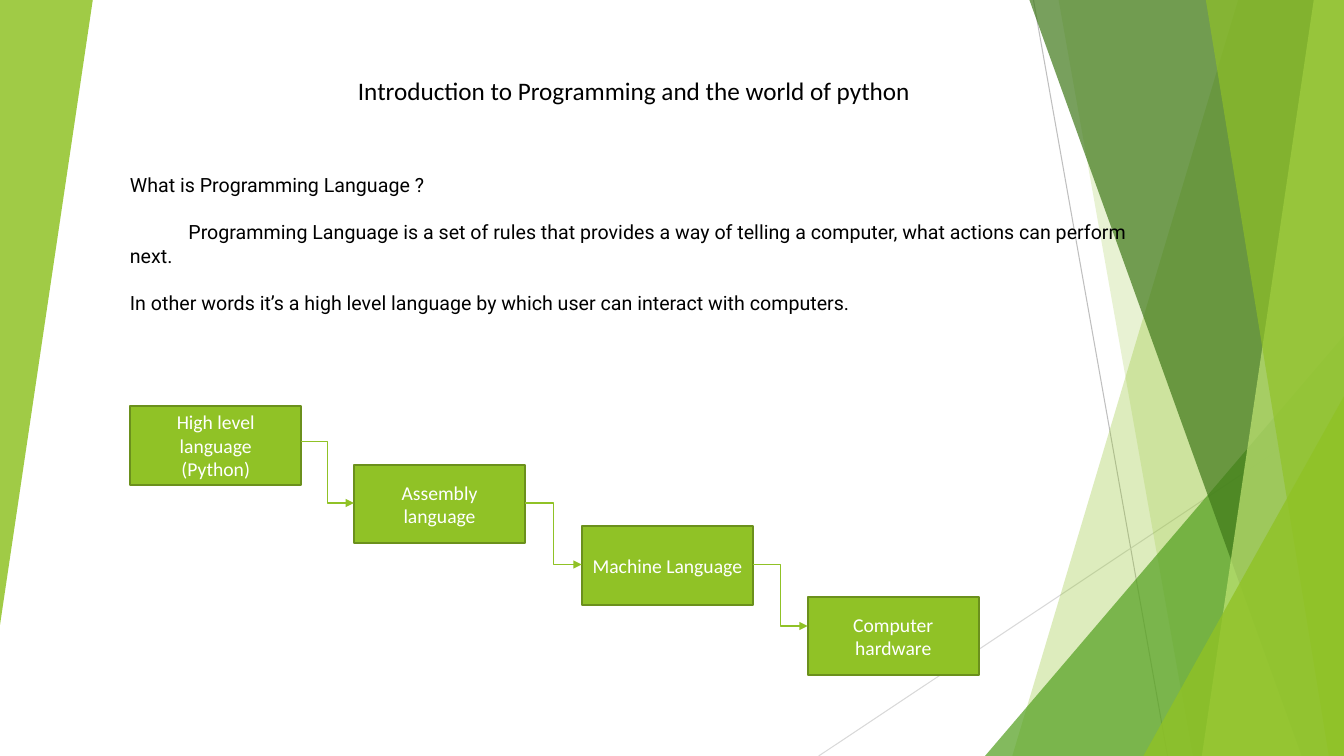
from pptx import Presentation
from pptx import util as u
from pptx.dml.color import RGBColor
from pptx.enum import shapes, text
from pptx.oxml import parse_xml
from pptx.oxml.ns import nsdecls, qn

WIDTH, HEIGHT = 13.33, 7.5
GREEN, EDGE, BLACK, WHITE = "90C226", "6B901C", "000000", "FFFFFF"

TITLE = "Introduction to Programming and the world of python"
BODY = [  # text, first-line indent
    ("What is Programming Language ?", 0),
    ("Programming Language is a set of rules that provides a way of telling "
     "a computer, what actions can perform next.", 0.58),
    ("In other words it’s a high level language by which user can interact "
     "with computers.", 0),
]
STEPS = [  # paragraphs, left, top
    (["High level language", "(Python)"], 1.29, 4.03),
    (["Assembly language"], 3.51, 4.61),
    (["Machine Language"], 5.77, 5.22),
    (["Computer hardware"], 8.01, 5.92),
]
BOX_WIDTH, BOX_HEIGHT = 1.7, 0.78
ARROW_TOP, ARROW_DROP = 4.38, 0.61

RAYS = [((10.25, 0), (11.58, HEIGHT), "BFBFBF"),
        ((WIDTH, 4.03), (8.12, HEIGHT), "D9D9D9")]
# Back to front. A facet runs from (top x, bottom x) to the right edge;
# a triangle has (left, top, width, height, rotation).
DECORATION = [
    ("facet", (12.28, 10.04), GREEN, 30),
    ("facet", (10.5, 11.83), GREEN, 20),
    ("triangle", (9.77, 3.33, 3.56, 4.17, 0), "54A021", 72),
    ("facet", (10.21, 12.91), "3F7819", 70),
    ("facet", (13.03, 11.92), "C0E474", 70),
    ("facet", (11.96, 13.18), GREEN, 65),
    ("triangle", (11.34, 3.93, 1.99, 3.57, 0), GREEN, 80),
    ("triangle", (0, 0, 0.92, 6.2, 180), GREEN, 85),
]


def color(value):
    """Turn a hex string into a colour."""
    return RGBColor.from_string(value)


def inches(*values):
    """Convert several lengths to inches."""
    return [u.Inches(value) for value in values]


def apply(target, **values):
    """Set attributes of an object from format values."""
    for name, value in values.items():
        setattr(target, name, value)


def paint(shape, fill, opacity=100, line=None):
    """Give a shape a flat fill and an optional outline."""
    shape.shadow.inherit = False
    shape.fill.solid()
    shape.fill.fore_color.rgb = color(fill)
    if opacity < 100:
        tint = shape.fill._xPr.find(".//" + qn("a:srgbClr"))
        tint.append(parse_xml(
            f'<a:alpha {nsdecls("a")} val="{opacity * 1000}"/>'))
    if line:
        shape.line.color.rgb = color(line)
        shape.line.width = u.Pt(1.5)
    else:
        shape.line.fill.background()


def write(frame, lines, font, size, tint, align, **layout):
    """Fill a text frame with formatted paragraphs and return them."""
    apply(frame, word_wrap=True, **layout)
    frame.text = "\n".join(lines)
    for paragraph in frame.paragraphs:
        paragraph.alignment = align
        apply(paragraph.runs[0].font, name=font, size=u.Pt(size))
        paragraph.runs[0].font.color.rgb = color(tint)
    return frame.paragraphs


def connect(slide, kind, start, end, tint, width, arrow=False):
    """Draw a line or elbow, with an arrowhead at its end if asked."""
    connector = slide.shapes.add_connector(kind, *inches(*start, *end))
    connector.line.color.rgb = color(tint)
    connector.line.width = u.Pt(width)
    if arrow:
        connector.line._get_or_add_ln().append(
            parse_xml(f'<a:tailEnd {nsdecls("a")} type="triangle"/>'))
    connector._element.spPr.append(
        parse_xml(f'<a:effectLst {nsdecls("a")}/>'))


def decorate(slide):
    """Draw the thin rays and the green facets at the slide's sides."""
    for start, end, tint in RAYS:
        connect(slide, shapes.MSO_CONNECTOR.STRAIGHT, start, end, tint, 0.75)
    for kind, place, tint, opacity in DECORATION:
        if kind == "facet":
            top, bottom = place
            corners = [(top, 0), (WIDTH, 0), (WIDTH, HEIGHT), (bottom, HEIGHT)]
            points = [inches(*corner) for corner in corners]
            builder = slide.shapes.build_freeform(*points[0])
            builder.add_line_segments(points[1:], close=True)
            shape = builder.convert_to_shape()
        else:
            shape = slide.shapes.add_shape(
                shapes.MSO_SHAPE.ISOSCELES_TRIANGLE, *inches(*place[:4]))
            shape.adjustments[0] = 1
            shape.rotation = place[4]
        paint(shape, tint, opacity)


def add_texts(slide):
    """Fill the title and the explanation below it."""
    title = slide.shapes.title
    apply(title, **dict(zip(("left", "top", "width", "height"),
                            inches(3.45, 0.7, 5.74, 0.4))))
    write(title.text_frame, [TITLE], "Calibri", 18, BLACK, text.PP_ALIGN.LEFT,
          vertical_anchor=text.MSO_ANCHOR.TOP, auto_size=text.MSO_AUTO_SIZE.NONE)
    body = slide.shapes.add_textbox(*inches(1.19, 1.67, 10.25, 1.51))
    paragraphs = write(body.text_frame, [line for line, _ in BODY],
                       "Roboto", 14, BLACK, text.PP_ALIGN.LEFT)
    for paragraph, (_, indent) in zip(paragraphs, BODY):
        paragraph._p.get_or_add_pPr().set("indent", str(u.Inches(indent)))
    for paragraph in paragraphs[1:]:
        paragraph.space_before = u.Pt(16.6)


def add_steps(slide):
    """Draw the descending boxes and the arrows between them."""
    for lines, left, top in STEPS:
        box = slide.shapes.add_shape(
            shapes.MSO_SHAPE.RECTANGLE,
            *inches(left, top, BOX_WIDTH, BOX_HEIGHT))
        paint(box, GREEN, line=EDGE)
        write(box.text_frame, lines, "Calibri", 14, WHITE,
              text.PP_ALIGN.CENTER, vertical_anchor=text.MSO_ANCHOR.MIDDLE)
    for index, (step, following) in enumerate(zip(STEPS, STEPS[1:])):
        y = ARROW_TOP + index * ARROW_DROP
        connect(slide, shapes.MSO_CONNECTOR.ELBOW, (step[1] + BOX_WIDTH, y),
                (following[1], y + ARROW_DROP), GREEN, 1, arrow=True)


presentation = Presentation()
apply(presentation, slide_width=u.Inches(WIDTH), slide_height=u.Inches(HEIGHT))
slide = presentation.slides.add_slide(presentation.slide_layouts[5])
decorate(slide)
add_texts(slide)
add_steps(slide)
presentation.save("out.pptx")
